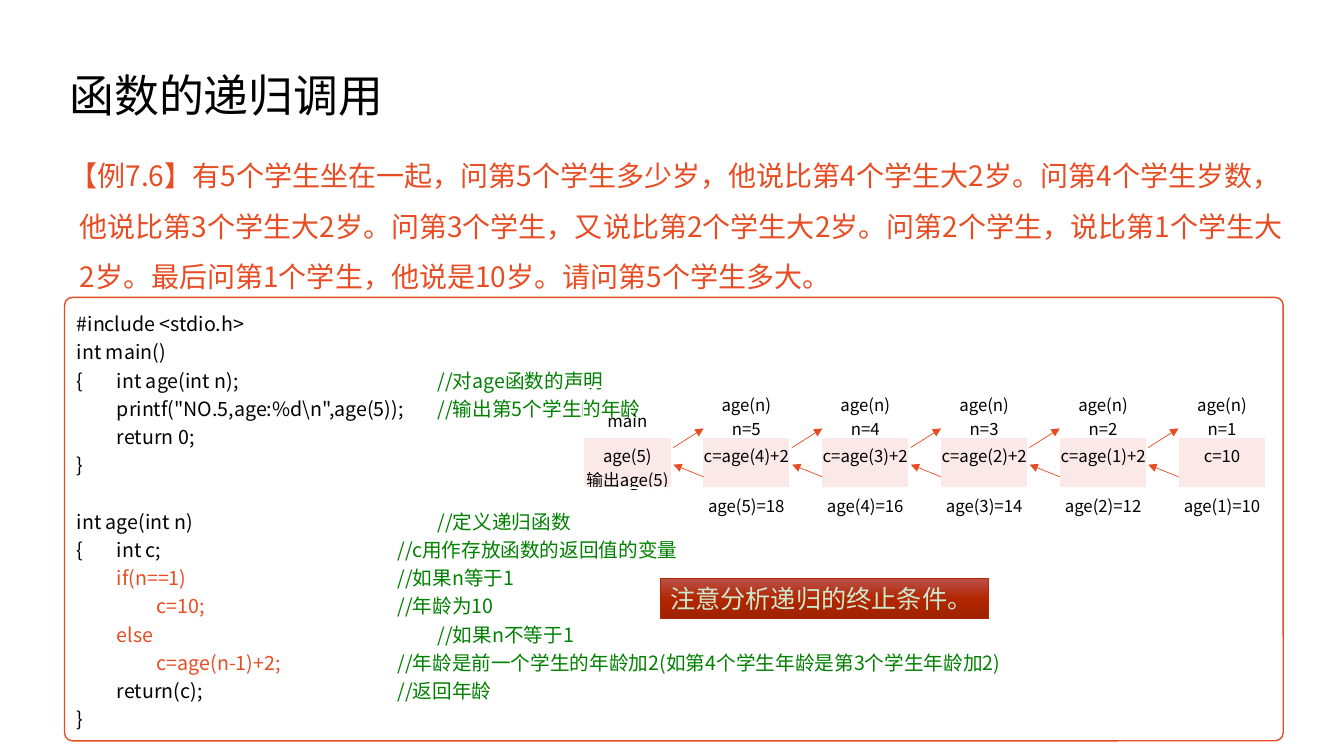
from dataclasses import dataclass

from lxml import etree
from pptx import Presentation
from pptx.dml.color import RGBColor
from pptx.enum.shapes import MSO_CONNECTOR, MSO_SHAPE
from pptx.enum.text import MSO_ANCHOR, PP_ALIGN
from pptx.oxml import parse_xml
from pptx.oxml.ns import nsdecls, qn
from pptx.util import Pt

ROUNDED, RECTANGLE = MSO_SHAPE.ROUNDED_RECTANGLE, MSO_SHAPE.RECTANGLE
STRAIGHT = MSO_CONNECTOR.STRAIGHT
TOP, MIDDLE, BOTTOM = MSO_ANCHOR.TOP, MSO_ANCHOR.MIDDLE, MSO_ANCHOR.BOTTOM
LEFT, CENTER = PP_ALIGN.LEFT, PP_ALIGN.CENTER


@dataclass(frozen=True)
class Theme:
    font: str = "Noto Sans CJK SC"
    black: str = "000000"
    white: str = "FFFFFF"
    accent: str = "E84C22"
    comment: str = "008000"
    cell: str = "FBE9E8"
    banner_text: str = "CCE8CF"
    banner_line: str = "B22600"
    banner_stops: tuple = ((0, "BB514B"), (50, "B22600"), (100, "9E2200"))
    title: float = 32
    question: float = 20
    banner: float = 18
    code: float = 14
    table: float = 12
    tab: float = 28.63


class SlideBuilder:
    def __init__(self, slide, theme):
        self.slide = slide
        self.theme = theme

    def style(self, paragraph, size, color, align=LEFT, spacing=None):
        paragraph.alignment = align
        if spacing:
            paragraph.line_spacing = spacing
        paragraph.font.size = Pt(size)
        paragraph.font.name = self.theme.font
        paragraph.font.color.rgb = RGBColor.from_string(color)
        properties = paragraph._p.pPr.find(qn("a:defRPr"))
        properties.find(qn("a:latin")).addnext(
            parse_xml(f'<a:ea {nsdecls("a")} typeface="{self.theme.font}"/>'))

    def title(self, text, box):
        shape = self.slide.shapes.title
        shape.left, shape.top, shape.width, shape.height = map(Pt, box)
        shape.text_frame.text = text
        shape.text_frame.vertical_anchor = MIDDLE
        self.style(shape.text_frame.paragraphs[0], self.theme.title, self.theme.black, spacing=0.9)

    def question(self, text, box):
        frame = self.slide.shapes.add_textbox(*map(Pt, box)).text_frame
        frame.word_wrap = True
        frame.text = text
        paragraph = frame.paragraphs[0]
        self.style(paragraph, self.theme.question, self.theme.accent, spacing=1.5)
        paragraph._p.pPr.set("marL", str(Pt(7.2)))
        paragraph._p.pPr.set("indent", str(-Pt(7.2)))

    def panel(self, kind, box, line, width):
        shape = self.slide.shapes.add_shape(kind, *map(Pt, box))
        shape.shadow.inherit = False
        shape.line.color.rgb = RGBColor.from_string(line)
        shape.line.width = Pt(width)
        shape.text_frame.word_wrap = True
        shape.text_frame.vertical_anchor = MIDDLE
        return shape

    def code(self, lines, box):
        theme = self.theme
        shape = self.panel(ROUNDED, box, theme.accent, 1)
        shape.adjustments[0] = 0.018
        shape.fill.solid()
        shape.fill.fore_color.rgb = RGBColor.from_string(theme.white)
        frame = shape.text_frame
        for index, (color, statement, comment) in enumerate(lines):
            paragraph = frame.add_paragraph() if index else frame.paragraphs[0]
            tabs = etree.SubElement(paragraph._p.get_or_add_pPr(), qn("a:tabLst"))
            for stop in range(1, 10):
                etree.SubElement(tabs, qn("a:tab"), pos=str(Pt(theme.tab * stop)), algn="l")
            self.style(paragraph, theme.code, color, spacing=1.2)
            if statement:
                paragraph.add_run().text = statement
            if comment:
                run = paragraph.add_run()
                run.text = comment
                run.font.color.rgb = RGBColor.from_string(theme.comment)

    def banner(self, text, box):
        theme = self.theme
        shape = self.panel(RECTANGLE, box, theme.banner_line, 0.5)
        stops = "".join(f'<a:gs pos="{position * 1000}"><a:srgbClr val="{color}"/></a:gs>'
                        for position, color in theme.banner_stops)
        shape.fill.gradient()
        shape.fill.gradient_angle = 270
        stop_list = shape._element.spPr.find(qn("a:gradFill")).find(qn("a:gsLst"))
        stop_list.getparent().replace(
            stop_list, parse_xml(f'<a:gsLst {nsdecls("a")}>{stops}</a:gsLst>'))
        shape.text_frame.text = text
        self.style(shape.text_frame.paragraphs[0], theme.banner, theme.banner_text)

    def call_table(self, calls, left, top, column, gap, row):
        count = 2 * len(calls) - 1
        width = column * len(calls) + gap * (len(calls) - 1)
        table = self.slide.shapes.add_table(
            3, count, Pt(left), Pt(top), Pt(width), Pt(3 * row)).table
        table.first_row = table.horz_banding = False
        for index in range(count):
            table.columns[index].width = Pt(gap if index % 2 else column)
            for level in range(3):
                text = "" if index % 2 else calls[index // 2][level]
                self.cell(table.cell(level, index), text, level)
        for level in range(3):
            table.rows[level].height = Pt(row)

    def cell(self, cell, text, level):
        theme = self.theme
        cell.margin_left = cell.margin_right = 0
        cell.margin_top = cell.margin_bottom = Pt(3.6 if text else 0)
        cell.vertical_anchor = TOP if level else BOTTOM
        cell.text = text
        for paragraph in cell.text_frame.paragraphs:
            self.style(paragraph, theme.table, theme.black, CENTER)
        for side in ("lnL", "lnR", "lnT", "lnB"):
            cell._tc.tcPr.append(parse_xml(
                f'<a:{side} {nsdecls("a")} w="{Pt(1)}"><a:solidFill>'
                f'<a:srgbClr val="{theme.white}"/></a:solidFill></a:{side}>'))
        if text and level == 1:
            cell.fill.solid()
            cell.fill.fore_color.rgb = RGBColor.from_string(theme.cell)
        else:
            cell.fill.background()

    def arrow(self, *ends):
        connector = self.slide.shapes.add_connector(STRAIGHT, *map(Pt, ends))
        connector.line.color.rgb = RGBColor.from_string(self.theme.accent)
        connector.line.width = Pt(0.5)
        etree.SubElement(connector.line._get_or_add_ln(), qn("a:tailEnd"), type="triangle")
        etree.SubElement(connector._element.spPr, qn("a:effectLst"))


def main():
    """Build the slide on recursive function calls."""
    theme = Theme()
    presentation = Presentation()
    presentation.slide_width, presentation.slide_height = Pt(960), Pt(540)
    slide = presentation.slides.add_slide(presentation.slide_layouts[5])
    builder = SlideBuilder(slide, theme)
    builder.title("函数的递归调用", (42.5, 18, 828, 104.4))
    builder.question(
        "【例7.6】有5个学生坐在一起，问第5个学生多少岁，他说比第4个学生大2岁。"
        "问第4个学生岁数，他说比第3个学生大2岁。问第3个学生，又说比第2个学生大2岁。"
        "问第2个学生，说比第1个学生大2岁。最后问第1个学生，他说是10岁。请问第5个学生多大。",
        (42.5, 98, 887, 43.2))
    black, accent = theme.black, theme.accent
    builder.code([
        (black, "#include <stdio.h>", ""),
        (black, "int main()", ""),
        (black, "{\tint age(int n);\t\t\t\t\t", "//对age函数的声明"),
        (black, "\tprintf(\"NO.5,age:%d\\n\",age(5)); \t", "//输出第5个学生的年龄"),
        (black, "\treturn 0;", ""),
        (black, "}", ""),
        (black, "", ""),
        (black, "int age(int n) \t\t\t\t\t\t", "//定义递归函数"),
        (black, "{\tint c; \t\t\t\t\t\t", "//c用作存放函数的返回值的变量"),
        (accent, "\tif(n==1) \t\t\t\t\t\t", "//如果n等于1"),
        (accent, "\t\tc=10;\t\t\t\t\t", "//年龄为10"),
        (accent, "\telse \t\t\t\t\t\t\t", "//如果n不等于1"),
        (accent, "\t\tc=age(n-1)+2;\t\t\t",
         "//年龄是前一个学生的年龄加2(如第4个学生年龄是第3个学生年龄加2)"),
        (black, "\treturn(c); \t\t\t\t\t", "//返回年龄"),
        (black, "}", ""),
    ], (46.1, 212.4, 870.5, 316.8))
    builder.banner("注意分析递归的终止条件。", (471.6, 413.3, 234.7, 28.8))
    calls = [("main", "age(5)\n输出age(5)", "")]
    for n in range(5, 0, -1):
        formula = f"c=age({n - 1})+2" if n > 1 else "c=10"
        calls.append((f"age(n)\nn={n}", formula, f"age({n})={8 + 2 * n}"))
    builder.call_table(calls, 416.9, 276.5, 62.5, 22.5, 29.5)
    for step in range(len(calls) - 1):
        left = 481 + 84.8 * step
        right = left + 21.6
        builder.arrow(left, 319.7, right, 306)
        builder.arrow(right, 340.6, left, 331.9)
    presentation.save("out.pptx")


if __name__ == "__main__":
    main()
